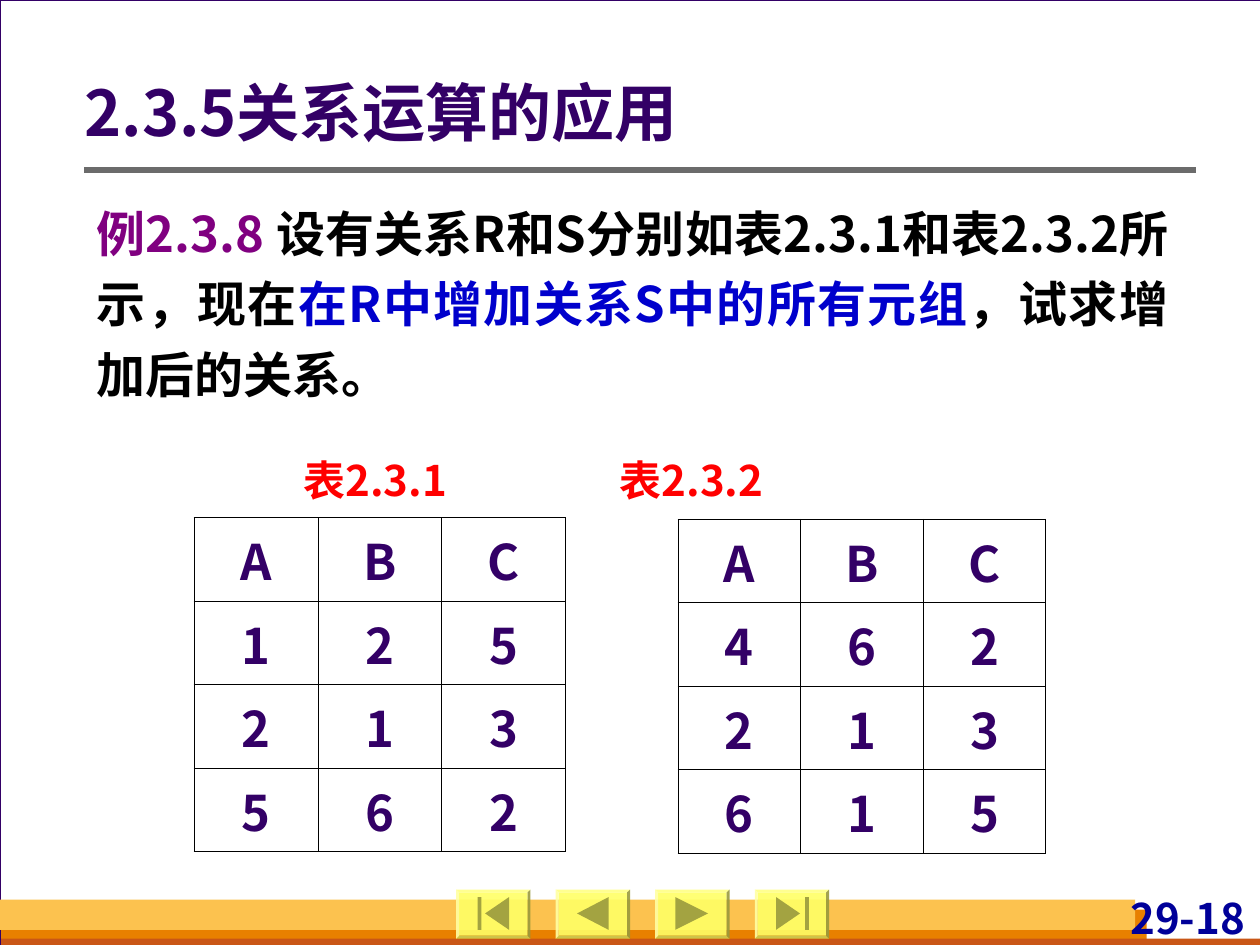
from pptx import Presentation
from pptx.dml.color import RGBColor
from pptx.enum.shapes import MSO_CONNECTOR, MSO_SHAPE
from pptx.enum.text import MSO_ANCHOR, PP_ALIGN
from pptx.oxml.ns import qn
from pptx.util import Inches, Pt
from lxml.etree import SubElement

FONT = "Noto Sans CJK SC"
COLORS = {
    "back": "D8DADA", "white": "FFFFFF", "ink": "330066", "black": "000000",
    "amber": "FCC24F", "orange": "E88000", "rust": "C95616", "rule": "6B6B6B",
    "button": "FFFF66", "icon": "A3A341", "page": "000099",
    "purple": "800080", "blue": "0000CC", "red": "FF0000",
}


def rgb(name):
    return RGBColor.from_string(COLORS[name])


def write(para, text, size=28, color="ink", align=None, space=None):
    """Add one bold run and format its paragraph."""
    run = para.add_run()
    run.text = text
    font = run.font
    font.name, font.size, font.bold = FONT, Pt(size), True
    font.color.rgb = rgb(color)
    SubElement(font._element, qn("a:ea"), typeface=FONT)
    if align is not None:
        para.alignment = align
    if space is not None:
        para.line_spacing = space


class Page:
    def __init__(self, slide):
        self.slide = slide
        self.shapes = slide.shapes
        fill = slide.background.fill
        fill.solid()
        fill.fore_color.rgb = rgb("back")

    def paint(self, shape, color, line=None, alpha=None):
        shape.shadow.inherit = False
        shape.fill.solid()
        shape.fill.fore_color.rgb = rgb(color)
        if alpha:
            tone = shape._element.spPr.find(qn("a:solidFill"))[0]
            SubElement(tone, qn("a:alpha"), val=str(alpha * 1000))
        if line:
            shape.line.color.rgb = rgb(line)
            shape.line.width = Pt(0.75)
        else:
            shape.line.fill.background()

    def block(self, box, color, kind=MSO_SHAPE.RECTANGLE, **look):
        shape = self.shapes.add_shape(kind, *map(Inches, box))
        self.paint(shape, color, **look)
        return shape

    def rule(self, x, y, end):
        line = self.shapes.add_connector(
            MSO_CONNECTOR.STRAIGHT, Inches(x), Inches(y), Inches(end), Inches(y))
        line.line.color.rgb = rgb("rule")
        line.line.width = Pt(3)
        SubElement(line._element.spPr, qn("a:effectLst"))

    def text(self, box, runs, pad=(0.1, 0.05, 0.1, 0.05),
             anchor=MSO_ANCHOR.TOP, tab=None, **form):
        frame = self.shapes.add_textbox(*map(Inches, box)).text_frame
        frame.word_wrap = True
        frame.vertical_anchor = anchor
        (frame.margin_left, frame.margin_top,
         frame.margin_right, frame.margin_bottom) = map(Inches, pad)
        para = frame.paragraphs[0]
        if tab:
            stops = SubElement(para._p.get_or_add_pPr(), qn("a:tabLst"))
            SubElement(stops, qn("a:tab"), pos=str(Inches(tab)), algn="l")
        for words, color in runs:
            write(para, words, color=color, **form)

    def table(self, box, rows):
        grid = self.shapes.add_table(
            len(rows), len(rows[0]), *map(Inches, box)).table
        grid.first_row = grid.horz_banding = False
        for r, row in enumerate(rows):
            for c, value in enumerate(row):
                cell = grid.cell(r, c)
                cell.vertical_anchor = MSO_ANCHOR.MIDDLE
                write(cell.text_frame.paragraphs[0], value,
                      align=PP_ALIGN.CENTER)
                self.border(cell)
                cell.fill.background()

    def border(self, cell):
        props = cell._tc.get_or_add_tcPr()
        for side in ("lnL", "lnR", "lnT", "lnB"):
            edge = SubElement(props, qn("a:" + side), w=str(Pt(0.45)))
            fill = SubElement(edge, qn("a:solidFill"))
            SubElement(fill, qn("a:srgbClr"), val=COLORS["black"])

    def button(self, x, y, icon):
        """Draw a bevelled button; icon outlines are relative to its corner."""
        face = self.block((x, y, 0.59, 0.39), "button", MSO_SHAPE.BEVEL, alpha=90)
        face.adjustments[0] = 0.06
        pen = None
        for outline in icon:
            start, *rest = [(Inches(x + a), Inches(y + b)) for a, b in outline]
            if pen is None:
                pen = self.shapes.build_freeform(*start)
            else:
                pen.move_to(*start)
            pen.add_line_segments(rest, close=True)
        self.paint(pen.convert_to_shape(), "icon")


def arrow(tip, base):
    return [(tip, 0.19), (base, 0.06), (base, 0.32)]


def bar(left):
    return [(left, 0.06), (left + 0.03, 0.06), (left + 0.03, 0.32), (left, 0.32)]


def main():
    deck = Presentation()
    deck.slide_width, deck.slide_height = Inches(10), Inches(7.5)
    page = Page(deck.slides.add_slide(deck.slide_layouts[6]))

    # Backdrop and footer bands
    page.block((0, 0, 10.01, 7.5), "white", line="ink")
    page.block((0.01, 7.22, 9.09, 0.28), "orange")
    page.block((0.01, 7.45, 10, 0.08), "rust")
    page.block((0, 7.14, 9.01, 0.24), "amber")
    page.text((8.47, 7.08, 1.45, 0.4), [("29-18", "page")], size=24,
              pad=(0.04, 0, 0.04, 0), anchor=MSO_ANCHOR.MIDDLE,
              align=PP_ALIGN.RIGHT)

    # Navigation buttons: first, back, next, last
    icons = [
        [arrow(0.23, 0.42), bar(0.17)],
        [arrow(0.17, 0.42)],
        [arrow(0.42, 0.16)],
        [arrow(0.36, 0.17), bar(0.4)],
    ]
    for i, icon in enumerate(icons):
        page.button(3.62 + 0.79 * i, 7.06, icon)

    # Title
    page.rule(0.67, 1.35, 9.49)
    page.text((0.67, 0.6, 8.82, 0.64), [("2.3.5关系运算的应用", "ink")],
              size=36, pad=(0, 0.05, 0.1, 0.05), anchor=MSO_ANCHOR.MIDDLE,
              space=0.9)

    # Example
    page.text((0.67, 1.47, 8.7, 1.78), [
        ("例2.3.8 ", "purple"),
        ("设有关系R和S分别如表2.3.1和表2.3.2所示，现在", "black"),
        ("在R中增加关系S中的所有元组", "blue"),
        ("，试求增加后的关系。", "black"),
    ], align=PP_ALIGN.JUSTIFY, space=1.2)

    # Relations R and S with their captions
    page.table((5.38, 4.12, 2.92, 2.65), ["ABC", "462", "213", "615"])
    page.table((1.54, 4.11, 2.95, 2.65), ["ABC", "125", "213", "562"])
    page.text((2.31, 3.56, 5.29, 0.9), [("表2.3.1\t表2.3.2", "red")],
              size=24, tab=2.51)

    deck.save("out.pptx")


if __name__ == "__main__":
    main()
